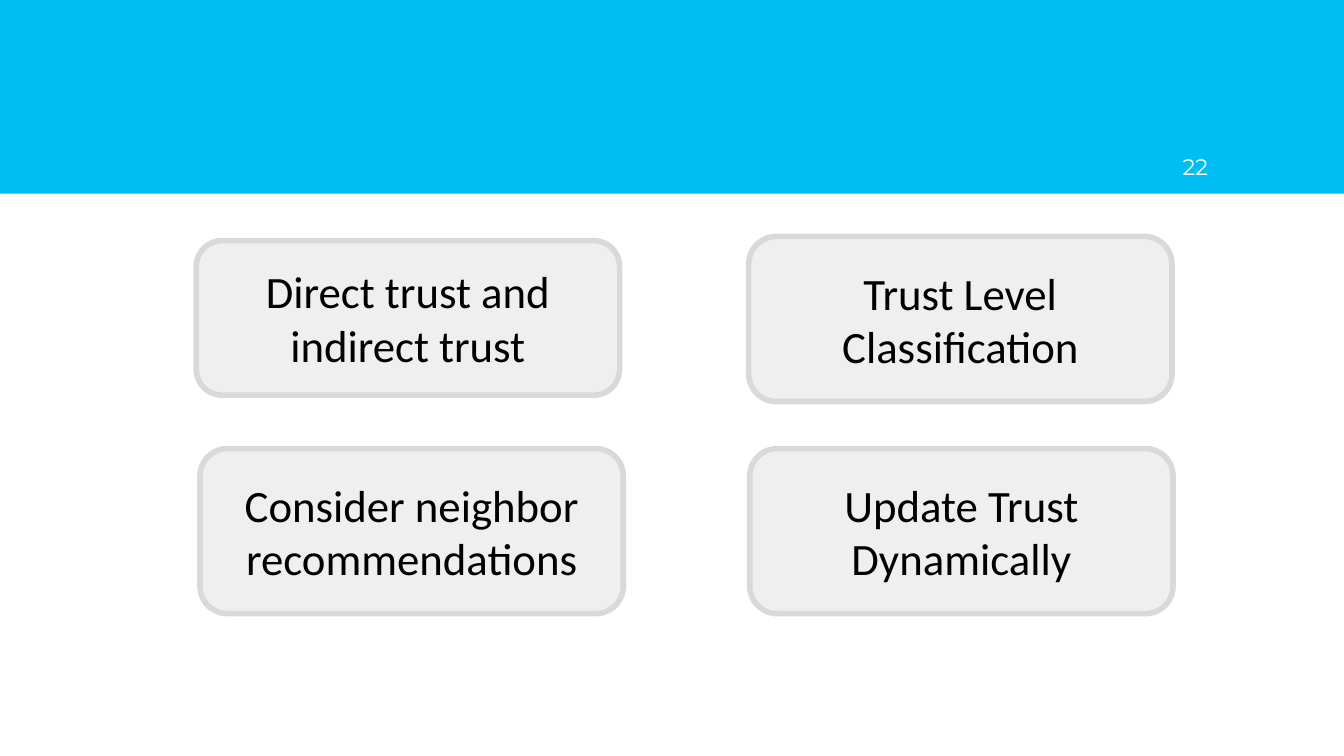
from dataclasses import dataclass

import pptx
import pptx.dml.color
import pptx.enum.shapes
import pptx.enum.text
import pptx.util

Cm = pptx.util.Cm
Pt = pptx.util.Pt
SHAPE = pptx.enum.shapes.MSO_SHAPE
ALIGN = pptx.enum.text.PP_ALIGN
ANCHOR = pptx.enum.text.MSO_ANCHOR


@dataclass
class Card:
    left: float
    top: float
    height: float
    text: str


CARD_WIDTH = 8
CARDS = [
    Card(3.71, 4.55, 2.92, "Direct trust and indirect trust"),
    Card(14.15, 4.47, 3.12, "Trust Level Classification"),
    Card(3.78, 8.48, 3.12, "Consider neighbor recommendations"),
    Card(14.17, 8.48, 3.12, "Update Trust Dynamically"),
]


def paint(fmt, color: str) -> None:
    fmt.solid()
    fmt.fore_color.rgb = pptx.dml.color.RGBColor.from_string(color)


def add_box(s, kind, left: float, top: float, width: float, height: float, fill: str):
    sp = s.shapes.add_shape(kind, Cm(left), Cm(top), Cm(width), Cm(height))
    sp.shadow.inherit = False
    paint(sp.fill, fill)
    sp.line.fill.background()
    return sp


def write(sp, text: str, font: str, size: float, color: str, align, anchor) -> None:
    tf = sp.text_frame
    tf.word_wrap = True
    tf.vertical_anchor = anchor
    tf.margin_left = tf.margin_right = tf.margin_top = tf.margin_bottom = Cm(0.25)
    p = tf.paragraphs[0]
    p.alignment = align
    r = p.add_run()
    r.text = text
    r.font.name = font
    r.font.size = Pt(size)
    paint(r.font.fill, color)


def add_card(s, card: Card) -> None:
    sp = add_box(s, SHAPE.FLOWCHART_ALTERNATE_PROCESS, card.left, card.top,
                 CARD_WIDTH, card.height, "EFEFEF")
    paint(sp.line.fill, "D9D9D9")
    sp.line.width = Pt(3)
    write(sp, card.text, "Calibri", 24, "000000", ALIGN.CENTER, ANCHOR.MIDDLE)


def main() -> None:
    """Build the slide of four trust features under a blue banner."""
    prs = pptx.Presentation()
    prs.slide_width, prs.slide_height = Cm(25.4), Cm(14.29)
    s = prs.slides.add_slide(prs.slide_layouts[6])
    add_box(s, SHAPE.RECTANGLE, 0, 0, 25.4, 3.66, "00BEF2")
    number = s.shapes.add_textbox(Cm(21.56), Cm(1.8), Cm(1.52), Cm(1.86))
    write(number, "22", "Montserrat", 12, "FFFFFF", ALIGN.RIGHT, ANCHOR.BOTTOM)
    for card in CARDS:
        add_card(s, card)
    prs.save("out.pptx")


if __name__ == "__main__":
    main()
